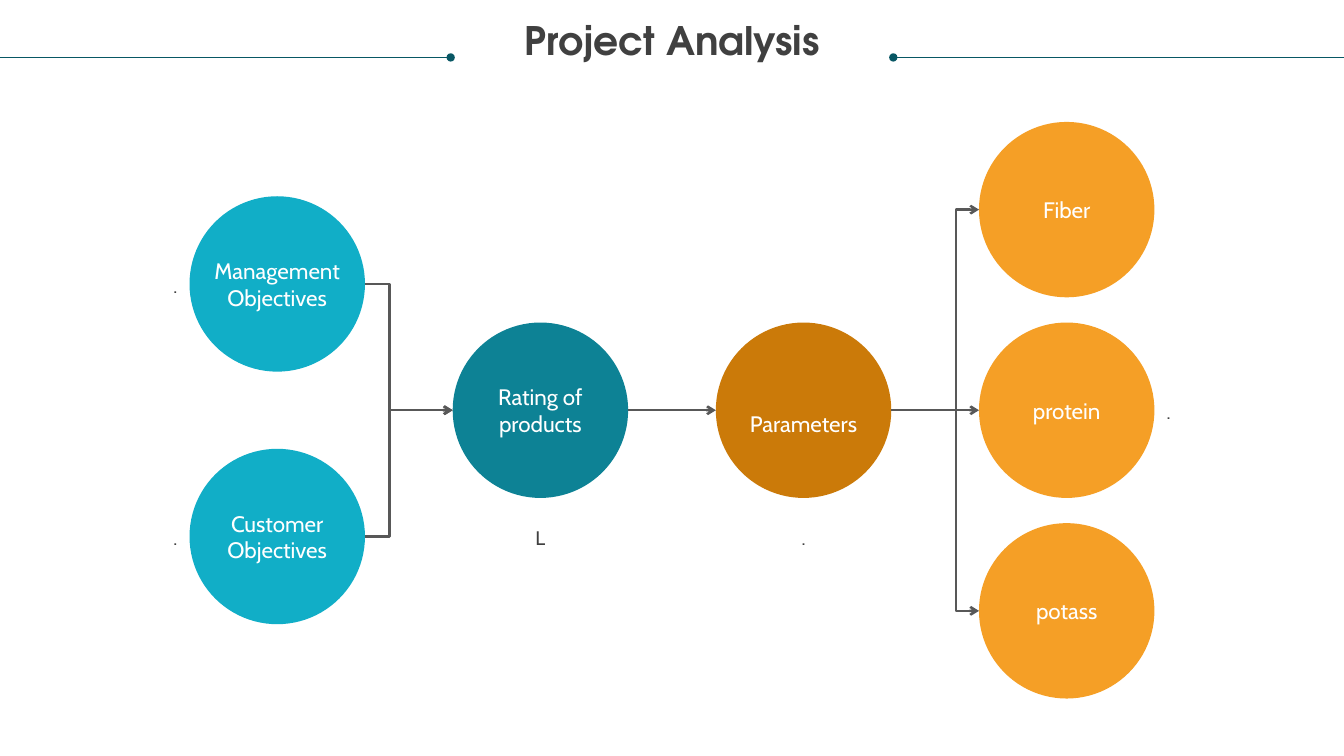
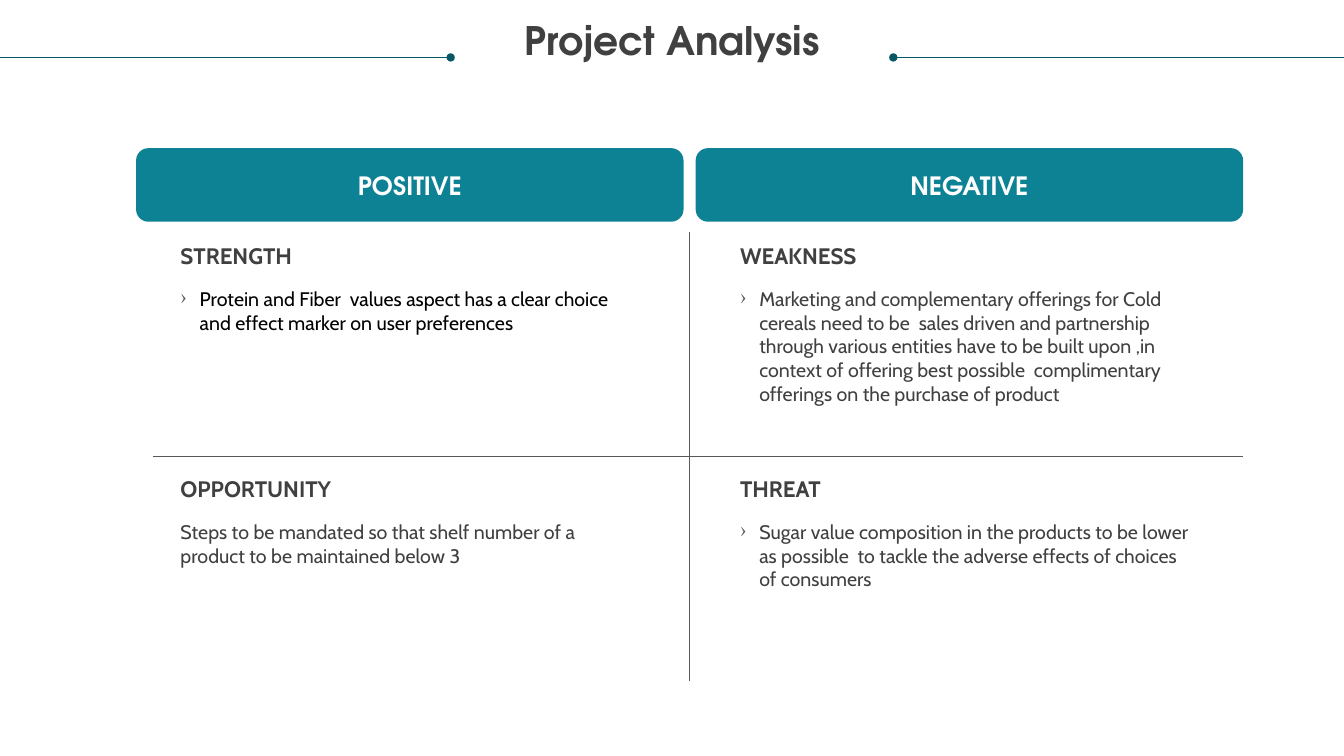
from lxml.etree import SubElement
from pptx import Presentation
from pptx.dml.color import RGBColor
from pptx.enum.shapes import MSO_CONNECTOR, MSO_SHAPE
from pptx.enum.text import MSO_ANCHOR, PP_ALIGN
from pptx.oxml.ns import qn
from pptx.util import Inches, Pt

WIDE, HIGH = 13.33, 7.5
HEAD, BODY = "TeX Gyre Adventor", "Cabin"
TONES = {
    "rule": "085764", "sky": "11AEC7", "teal": "0D8295", "rust": "CB7A09",
    "amber": "F59F26", "grey": "585858", "ink": "404040",
    "white": "FFFFFF", "black": "000000",
}


def tone(name):
    """Return a named colour."""
    return RGBColor.from_string(TONES[name])


def write(frame, text, size, hue="ink", font=BODY, bold=False,
          align=PP_ALIGN.LEFT, anchor=MSO_ANCHOR.TOP, wrap=True):
    """Fill a text frame with one styled paragraph and return it."""
    frame.margin_left = frame.margin_right = 0
    frame.margin_top = frame.margin_bottom = 0
    frame.word_wrap = wrap
    frame.vertical_anchor = anchor
    frame.text = text
    para = frame.paragraphs[0]
    para.alignment = align
    for run in para.runs:
        run.font.name, run.font.size, run.font.bold = font, Pt(size), bold
        run.font.color.rgb = tone(hue)
    return para


def label(slide, box, text, size, **style):
    """Add a text box and return its paragraph."""
    area = slide.shapes.add_textbox(*map(Inches, box))
    return write(area.text_frame, text, size, **style)


def block(slide, kind, box, fill):
    """Add a flat filled shape."""
    shape = slide.shapes.add_shape(kind, *map(Inches, box))
    shape.shadow.inherit = False
    shape.fill.solid()
    shape.fill.fore_color.rgb = tone(fill)
    shape.line.fill.background()
    return shape


def link(slide, start, stop, hue="grey", width=0.5, tip=None, bend=None):
    """Draw a line, with an end mark or an elbow at a share of its width."""
    kind = MSO_CONNECTOR.STRAIGHT if bend is None else MSO_CONNECTOR.ELBOW
    line = slide.shapes.add_connector(kind, *map(Inches, (*start, *stop)))
    line.line.color.rgb = tone(hue)
    line.line.width = Pt(width)
    props = line.element.spPr
    if tip:
        SubElement(props.find(qn("a:ln")), qn("a:tailEnd"), type=tip)
    if bend is not None:
        SubElement(props.find(".//" + qn("a:avLst")), qn("a:gd"),
                   name="adj1", fmla=f"val {round(bend * 100000)}")
    SubElement(props, qn("a:effectLst"))


def start(deck, text):
    """Add a slide with its title between two dotted rules."""
    slide = deck.slides.add_slide(deck.slide_layouts[5])
    title = slide.shapes.title
    title.left, title.top = Inches(0.25), Inches(0.21)
    title.width, title.height = Inches(WIDE - 0.5), Inches(0.73)
    para = write(title.text_frame, text, 28, font=HEAD, bold=True,
                 align=PP_ALIGN.CENTER)
    para.line_spacing = 0.9
    for edge, dot in ((0, 4.47), (WIDE, WIDE - 4.47)):
        link(slide, (edge, 0.57), (dot, 0.57), "rule", tip="oval")
    return slide


def flow(slide, x, y, w, h):
    """Draw the flow of circles on four columns of a box."""
    size = w / 5.5
    step, mid = size * 1.5, y + h / 2
    near, far = size * 0.72, (h - size) / 2
    nodes = (
        (0, -near, "sky", "Management\vObjectives"),
        (0, near, "sky", "Customer\vObjectives"),
        (1, 0, "teal", "Rating of\vproducts"),
        (2, 0, "rust", "Parameters"),
        (3, -far, "amber", "Fiber"),
        (3, 0, "amber", "protein"),
        (3, far, "amber", "potass"),
    )
    for col, drop, fill, text in nodes:
        box = x + col * step, mid + drop - size / 2, size, size
        frame = block(slide, MSO_SHAPE.OVAL, box, fill).text_frame
        write(frame, text, 16, "white", align=PP_ALIGN.CENTER,
              anchor=MSO_ANCHOR.MIDDLE, wrap=False)
        if text == "Parameters":
            frame.margin_top = Inches(0.27)

    links = ((0, -near, 0, 0.28), (0, near, 0, 0.28), (1, 0, 0, None),
             (2, 0, 0, None), (2, 0, -far, 0.74), (2, 0, far, 0.74))
    for col, rise, drop, bend in links:
        left = x + col * step + size
        link(slide, (left, mid + rise), (x + (col + 1) * step, mid + drop),
             width=1.75, tip="arrow", bend=bend)

    wide, tall, gap = 1.47, 0.24, 0.12
    inner = (size - wide) / 2
    notes = (
        (x - gap - wide, 2.7, ".", PP_ALIGN.RIGHT),
        (x - gap - wide, 5.2, ".", PP_ALIGN.RIGHT),
        (x + step + inner, 5.2, "L", PP_ALIGN.CENTER),
        (x + 2 * step + inner, 5.2, ".", PP_ALIGN.CENTER),
        (x + w + gap, 3.95, ".", PP_ALIGN.LEFT),
    )
    for left, top, text, align in notes:
        para = label(slide, (left, top, wide, tall), text, 14, align=align,
                     anchor=MSO_ANCHOR.MIDDLE)
        para.line_spacing = Pt(19)


def bullet(para):
    """Give a paragraph a hanging angle mark."""
    props = para._p.get_or_add_pPr()
    props.set("marL", str(Inches(0.19)))
    props.set("indent", str(-Inches(0.19)))
    paint = SubElement(props, qn("a:buClr"))
    SubElement(paint, qn("a:srgbClr"), val=TONES["grey"])
    SubElement(props, qn("a:buChar"), char="›")


def swot(slide, x, y, w, h, heads, cells):
    """Draw two headed columns with two rows of notes in a box."""
    gap, bar, row = 0.12, 0.73, 2.31
    wide = (w - gap) / 2
    for col, text in enumerate(heads):
        box = x + col * (wide + gap), y, wide, bar
        shape = block(slide, MSO_SHAPE.ROUNDED_RECTANGLE, box, "teal")
        write(shape.text_frame, text, 18, "white", HEAD, True,
              PP_ALIGN.CENTER, MSO_ANCHOR.MIDDLE)

    link(slide, (x + 0.17, y + 3.06), (x + w, y + 3.06))
    link(slide, (x + w / 2, y + bar + 0.1), (x + w / 2, y + h))

    for spot, (head, text, hue, mark) in enumerate(cells):
        left = x + 0.44 + spot % 2 * (wide + gap)
        top = y + 0.93 + spot // 2 * row
        label(slide, (left, top, 4.55, 0.27), head, 16, bold=True)
        para = label(slide, (left, top + 0.45, 4.55, 1.18), text, 14, hue=hue)
        if mark:
            bullet(para)


def main():
    """Build and save the deck."""
    deck = Presentation()
    deck.slide_width, deck.slide_height = Inches(WIDE), Inches(HIGH)
    flow(start(deck, "Project Analysis"), 1.88, 1.21, 9.57, 5.72)
    cells = (
        ("STRENGTH", "Protein and Fiber  values aspect has a clear choice "
         "and effect marker on user preferences", "black", True),
        ("WEAKNESS", "Marketing and complementary offerings for Cold cereals "
         "need to be  sales driven and partnership through various entities "
         "have to be built upon ,in context of offering best possible  "
         "complimentary offerings on the purchase of product", "ink", True),
        ("OPPORTUNITY", "Steps to be mandated so that shelf number of a "
         "product to be maintained below 3", "ink", False),
        ("THREAT", "Sugar value composition in the products to be lower as "
         "possible  to tackle the adverse effects of choices of consumers",
         "ink", True),
    )
    swot(start(deck, "Project Analysis"), 1.35, 1.47, 10.98, 5.29,
         ("POSITIVE", "NEGATIVE"), cells)
    deck.save("out.pptx")


if __name__ == "__main__":
    main()
